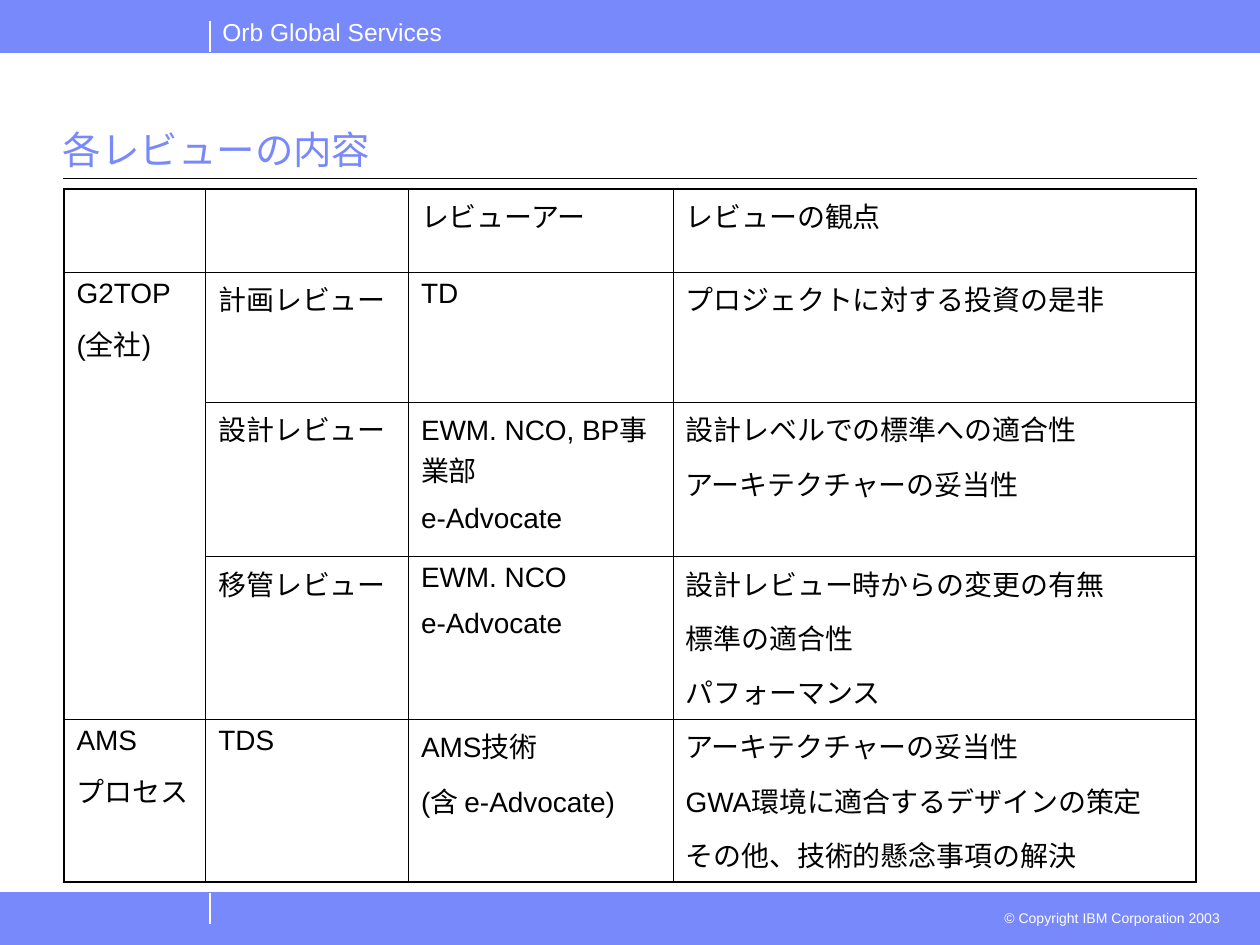
from typing import NamedTuple

from lxml import etree
from pptx import Presentation
from pptx.dml.color import RGBColor
from pptx.enum.shapes import MSO_CONNECTOR, MSO_SHAPE
from pptx.enum.text import MSO_ANCHOR, PP_ALIGN
from pptx.oxml.ns import qn
from pptx.util import Inches, Pt

STRAIGHT = MSO_CONNECTOR.STRAIGHT
RECT = MSO_SHAPE.RECTANGLE
TOP, BOTTOM = MSO_ANCHOR.TOP, MSO_ANCHOR.BOTTOM
LEFT, RIGHT = PP_ALIGN.LEFT, PP_ALIGN.RIGHT

BLUE = RGBColor(0x78, 0x89, 0xFB)
WHITE = RGBColor(0xFF, 0xFF, 0xFF)
BLACK = RGBColor(0x00, 0x00, 0x00)

FONT = "Arial"
GRID_COLS, GRID_ROWS = 120, 90
UNIT = Inches(10) / GRID_COLS
BAND = 5
FOOT = GRID_ROWS - BAND
MARGIN = 6
TICK_X = 20
THIN, THICK = Pt(0.45), Pt(1.08)


class Box(NamedTuple):
    """Left, top, width and height in grid units."""
    x: float
    y: float
    w: float
    h: float


class Rule(NamedTuple):
    """End points in grid units, with colour and width in points."""
    x1: float
    y1: float
    x2: float
    y2: float
    color: RGBColor
    width: float = 0.75


BANDS = [Box(0, FOOT, GRID_COLS, BAND), Box(0, 0, GRID_COLS, BAND)]
RULES = [
    Rule(TICK_X, BAND, TICK_X, 2, WHITE),
    Rule(TICK_X, FOOT + 3, TICK_X, FOOT, WHITE),
    Rule(0, BAND, GRID_COLS, BAND, BLUE, 0.5),
    Rule(0, FOOT, GRID_COLS, FOOT, BLUE, 0.5),
    Rule(MARGIN, 17, GRID_COLS - MARGIN, 17, BLACK),
]

TABLE_BOX = Box(6.1, 18, 107.8, 66)
COL_WIDTHS = [13.5, 19.3, 25.2, 49.8]
ROW_HEIGHTS = [7.9, 12.4, 14.7, 15.5, 15.5]
REVIEWS = [
    ["", "", "レビューアー", "レビューの観点"],
    ["G2TOP\n(全社)", "計画レビュー", "TD", "プロジェクトに対する投資の是非"],
    ["", "設計レビュー", "EWM. NCO, BP事業部\ne-Advocate",
     "設計レベルでの標準への適合性\nアーキテクチャーの妥当性"],
    ["", "移管レビュー", "EWM. NCO\ne-Advocate",
     "設計レビュー時からの変更の有無\n標準の適合性\nパフォーマンス"],
    ["AMS\nプロセス", "TDS", "AMS技術\n(含 e-Advocate)",
     "アーキテクチャーの妥当性\nGWA環境に適合するデザインの策定\nその他、技術的懸念事項の解決"],
]


def grid(n: float) -> int:
    return round(n * UNIT)


def write(tf, text: str, *, size: float, color: RGBColor, align=LEFT, gap: float = 0) -> None:
    """Fill a text frame, one paragraph a line, with gap points between them."""
    for i, line in enumerate(text.split("\n")):
        p = tf.add_paragraph() if i else tf.paragraphs[0]
        p.alignment = align
        p.space_before = Pt(gap if i else 0)
        r = p.add_run()
        r.text = line
        r.font.name, r.font.size = FONT, Pt(size)
        r.font.color.rgb = color


def add_band(s, box: Box) -> None:
    sp = s.shapes.add_shape(RECT, *map(grid, box))
    sp.shadow.inherit = False
    sp.fill.solid()
    sp.fill.fore_color.rgb = BLUE
    sp.line.color.rgb = BLUE
    sp.line.width = Pt(0.75)


def add_rule(s, rule: Rule) -> None:
    c = s.shapes.add_connector(STRAIGHT, *map(grid, rule[:4]))
    c.line.color.rgb = rule.color
    c.line.width = Pt(rule.width)
    etree.SubElement(c._element.spPr, qn("a:effectLst"))


def add_text(s, box: Box, text: str, *, inset: float = 0.1, wrap: bool = True,
             anchor=TOP, **style) -> None:
    tf = s.shapes.add_textbox(*map(grid, box)).text_frame
    tf.word_wrap = wrap
    tf.vertical_anchor = anchor
    tf.margin_left = tf.margin_right = Inches(inset)
    write(tf, text, **style)


def set_borders(cell, widths: dict[str, int]) -> None:
    """Put border lines ahead of the fill; keys are L, R, T and B in that order."""
    tc_pr = cell._tc.get_or_add_tcPr()
    for i, (side, width) in enumerate(widths.items()):
        ln = etree.Element(qn(f"a:ln{side}"), w=str(int(width)))
        fill = etree.SubElement(ln, qn("a:solidFill"))
        etree.SubElement(fill, qn("a:srgbClr"), val=str(BLACK))
        tc_pr.insert(i, ln)


def add_review_table(s) -> None:
    n_rows, n_cols = len(ROW_HEIGHTS), len(COL_WIDTHS)
    table = s.shapes.add_table(n_rows, n_cols, *map(grid, TABLE_BOX)).table
    table.first_row = table.horz_banding = False
    for col, width in zip(table.columns, COL_WIDTHS):
        col.width = grid(width)
    for row, height in zip(table.rows, ROW_HEIGHTS):
        row.height = grid(height)
    for i, texts in enumerate(REVIEWS):
        for j, text in enumerate(texts):
            cell = table.cell(i, j)
            cell.fill.background()
            set_borders(cell, {
                "L": THICK if j == 0 else THIN,
                "R": THICK if j == n_cols - 1 else THIN,
                "T": THICK if i == 0 else THIN,
                "B": THICK if i == n_rows - 1 else THIN,
            })
            if text:
                write(cell.text_frame, text, size=16, color=BLACK, gap=8)
    table.cell(1, 0).merge(table.cell(3, 0))


def main() -> None:
    prs = Presentation()
    prs.slide_width, prs.slide_height = grid(GRID_COLS), grid(GRID_ROWS)
    s = prs.slides.add_slide(prs.slide_layouts[6])
    for band in BANDS:
        add_band(s, band)
    for rule in RULES:
        add_rule(s, rule)
    add_text(s, Box(TICK_X, 1, 23.5, 4), "Orb Global Services",
             wrap=False, size=14, color=WHITE)
    add_text(s, Box(94, 86, 23.4, 2.9), "© Copyright IBM Corporation 2003",
             size=8, color=WHITE, align=RIGHT)
    add_text(s, Box(MARGIN, 6, GRID_COLS - 2 * MARGIN, 11), "各レビューの内容",
             inset=0, anchor=BOTTOM, size=22, color=BLUE)
    add_review_table(s)
    prs.save("out.pptx")


if __name__ == "__main__":
    main()
